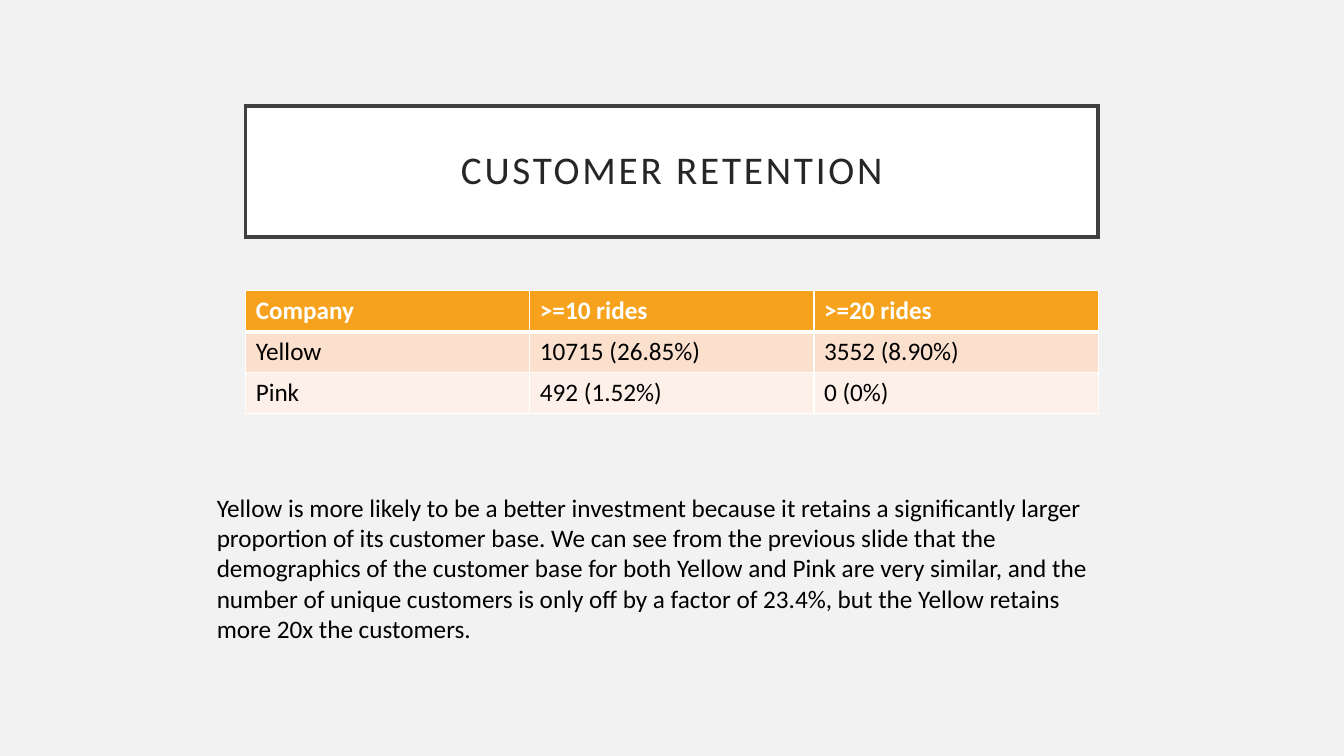
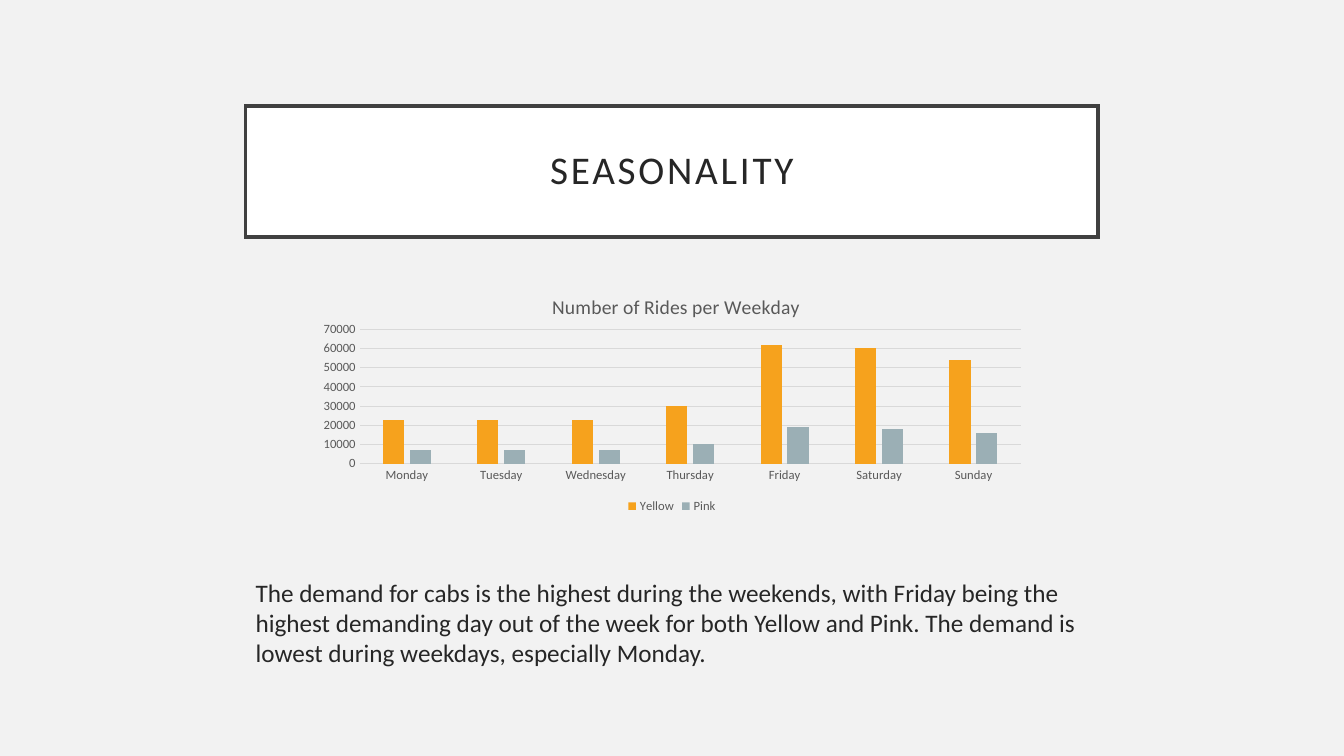
from dataclasses import dataclass
from typing import NamedTuple

from lxml import etree
from pptx import Presentation
from pptx import util as u
from pptx.chart.data import CategoryChartData
from pptx.dml.color import RGBColor
from pptx.enum import chart as ch, shapes, text
from pptx.oxml import ns

EMU_PER_PX = 9525


@dataclass(frozen=True)
class Theme:
    """Colours and type sizes shared by the slides."""
    font: str = "Calibri"
    paper: str = "F2F2F2"
    white: str = "FFFFFF"
    black: str = "000000"
    ink: str = "262626"
    frame: str = "404040"
    accent: str = "F6A21D"
    second: str = "9BAFB5"
    bands: tuple[str, ...] = ("FBE0CD", "FDF0E8")
    muted: str = "595959"
    grid: str = "D9D9D9"
    title_size: int = 28
    body_size: int = 18
    chart_title_size: int = 14
    label_size: int = 9


class Box(NamedTuple):
    """Left, top, width and height in px."""
    x: int
    y: int
    w: int
    h: int

    def emu(self) -> list[u.Emu]:
        return [px(v) for v in self]


class Series(NamedTuple):
    """One named and coloured run of chart values."""
    name: str
    color: str
    values: tuple[int, ...]


T = Theme()
TITLE_BOX = Box(234, 101, 812, 125)
TABLE_BOX = Box(234, 277, 812, 117)
RETENTION_BOX = Box(197, 464, 875, 156)
CHART_BOX = Box(294, 260, 692, 233)
SEASON_BOX = Box(234, 545, 812, 143)

RETENTION = (
    ("Company", ">=10 rides", ">=20 rides"),
    ("Yellow", "10715 (26.85%)", "3552 (8.90%)"),
    ("Pink", "492 (1.52%)", "0 (0%)"),
)
RETENTION_NOTE = (
    "Yellow is more likely to be a better investment because it retains a "
    "significantly larger proportion of its customer base. We can see from the "
    "previous slide that the demographics of the customer base for both Yellow "
    "and Pink are very similar, and the number of unique customers is only off "
    "by a factor of 23.4%, but the Yellow retains more 20x the customers."
)
DAYS = ("Monday", "Tuesday", "Wednesday", "Thursday", "Friday", "Saturday", "Sunday")
RIDES = (
    Series("Yellow", T.accent, (23000, 23000, 23000, 30000, 62000, 60000, 54000)),
    Series("Pink", T.second, (7000, 7000, 7000, 10000, 19000, 18000, 16000)),
)
SEASON_NOTE = (
    "The demand for cabs is the highest during the weekends, with Friday being "
    "the highest demanding day out of the week for both Yellow and Pink. The "
    "demand is lowest during weekdays, especially Monday."
)


def px(n: int) -> u.Emu:
    """Turn px into EMU."""
    return u.Emu(n * EMU_PER_PX)


def rgb(color: str) -> RGBColor:
    """Turn a hex string into a colour."""
    return RGBColor.from_string(color)


def style_font(font, size: int, color: str, bold: bool = False) -> None:
    """Apply the theme font with a size, colour and weight."""
    font.name, font.size, font.bold = T.font, u.Pt(size), bold
    font.color.rgb = rgb(color)


def write(tf, content: str, *, size: int = T.body_size, color: str = T.black,
          bold: bool = False, align=text.PP_ALIGN.LEFT, tracking: int = 0,
          line: float = 1.0, before: int = 0) -> None:
    """Put one formatted paragraph into a text frame."""
    tf.word_wrap = True
    p = tf.paragraphs[0]
    p.alignment, p.line_spacing, p.space_before = align, line, u.Pt(before)
    r = p.add_run()
    r.text = content
    style_font(r.font, size, color, bold)
    if tracking:
        r._r.get_or_add_rPr().set("spc", str(tracking * 100))


def add_title(s, content: str) -> None:
    """Draw the framed slide title."""
    sp = s.shapes.add_shape(shapes.MSO_SHAPE.RECTANGLE, *TITLE_BOX.emu())
    sp.shadow.inherit = False
    sp.fill.solid()
    sp.fill.fore_color.rgb = rgb(T.white)
    sp.line.color.rgb = rgb(T.frame)
    sp.line.width = u.Pt(2.5)
    etree.SubElement(sp.line._get_or_add_ln(), ns.qn("a:miter"), lim="800000")
    tf = sp.text_frame
    tf.vertical_anchor = text.MSO_ANCHOR.MIDDLE
    tf.margin_left = tf.margin_right = tf.margin_top = tf.margin_bottom = px(19)
    write(tf, content, size=T.title_size, color=T.ink,
          align=text.PP_ALIGN.CENTER, tracking=2, line=0.9)


def add_note(s, box: Box, content: str, color: str, before: int = 0) -> None:
    """Draw a paragraph of body text."""
    tf = s.shapes.add_textbox(*box.emu()).text_frame
    write(tf, content, color=color, before=before)


def style_cell(cell, fill: str, bottom: int) -> None:
    """Give a cell white borders and a plain fill."""
    tc_pr = cell._tc.get_or_add_tcPr()
    for side, width in (("L", 1), ("R", 1), ("T", 1), ("B", bottom)):
        ln = etree.SubElement(tc_pr, ns.qn(f"a:ln{side}"), w=str(u.Pt(width)))
        solid = etree.SubElement(ln, ns.qn("a:solidFill"))
        etree.SubElement(solid, ns.qn("a:srgbClr"), val=T.white)
    cell.fill.solid()
    cell.fill.fore_color.rgb = rgb(fill)


def add_grid(s, box: Box, rows: tuple[tuple[str, ...], ...]) -> None:
    """Draw a table with a header row and banded body rows."""
    table = s.shapes.add_table(len(rows), len(rows[0]), *box.emu()).table
    for i, row in enumerate(rows):
        head = i == 0
        fill = T.accent if head else T.bands[(i - 1) % len(T.bands)]
        for j, content in enumerate(row):
            cell = table.cell(i, j)
            style_cell(cell, fill, 3 if head or i == 1 and False else 1)
            if i == 1:
                cell._tc.tcPr.find(ns.qn("a:lnT")).set("w", str(u.Pt(3)))
            write(cell.text_frame, content, bold=head,
                  color=T.white if head else T.black)


def place(element, index: int, **parts: float) -> None:
    """Set a manual layout, in fractions of the chart, on a chart part."""
    for old in element.findall(ns.qn("c:layout")):
        element.remove(old)
    layout = etree.Element(ns.qn("c:layout"))
    manual = etree.SubElement(layout, ns.qn("c:manualLayout"))
    values = {"xMode": "edge", "yMode": "edge", **parts}
    if "w" in parts:
        values = {"layoutTarget": "inner", **values}
    for tag, value in values.items():
        etree.SubElement(manual, ns.qn(f"c:{tag}"), val=str(value))
    element.insert(index, layout)


def add_columns(s, box: Box, title: str, cats: tuple[str, ...],
                series: tuple[Series, ...]) -> None:
    """Draw a clustered column chart."""
    data = CategoryChartData()
    data.categories = cats
    for item in series:
        data.add_series(item.name, item.values)
    kind = ch.XL_CHART_TYPE.COLUMN_CLUSTERED
    chart = s.shapes.add_chart(kind, *box.emu(), data).chart
    style_font(chart.font, T.label_size, T.muted)

    chart.has_title = True
    write(chart.chart_title.text_frame, title, size=T.chart_title_size,
          color=T.muted, align=text.PP_ALIGN.CENTER)
    place(chart.chart_title._element, 1, x=0.33, y=0.07)
    place(chart._chartSpace.chart.plotArea, 0, x=0.07, y=0.23, w=0.91, h=0.55)

    chart.has_legend = True
    chart.legend.position = ch.XL_LEGEND_POSITION.BOTTOM
    chart.legend.include_in_layout = False
    style_font(chart.legend.font, T.label_size, T.muted)

    plot = chart.plots[0]
    plot.gap_width, plot.overlap, plot.vary_by_categories = 219, -27, False
    for item, bars in zip(series, plot.series):
        bars.format.fill.solid()
        bars.format.fill.fore_color.rgb = rgb(item.color)

    cat, val = chart.category_axis, chart.value_axis
    for axis in (cat, val):
        axis.major_tick_mark = axis.minor_tick_mark = ch.XL_TICK_MARK.NONE
        style_font(axis.tick_labels.font, T.label_size, T.muted)
    val.minimum_scale, val.maximum_scale, val.major_unit = 0, 70000, 10000
    val.format.line.fill.background()
    val.has_major_gridlines = True
    for line in (cat.format.line, val.major_gridlines.format.line):
        line.color.rgb = rgb(T.grid)
        line.width = u.Pt(0.75)


def add_slide(prs, title: str):
    """Add a blank slide with its framed title."""
    s = prs.slides.add_slide(prs.slide_layouts[6])
    add_title(s, title)
    return s


def main() -> None:
    """Build and save the slides."""
    prs = Presentation()
    prs.slide_width, prs.slide_height = px(1280), px(720)
    paper = prs.slide_master.background.fill
    paper.solid()
    paper.fore_color.rgb = rgb(T.paper)

    s = add_slide(prs, "CUSTOMER RETENTION")
    add_grid(s, TABLE_BOX, RETENTION)
    add_note(s, RETENTION_BOX, RETENTION_NOTE, T.black)

    s = add_slide(prs, "SEASONALITY")
    add_columns(s, CHART_BOX, "Number of Rides per Weekday", DAYS, RIDES)
    add_note(s, SEASON_BOX, SEASON_NOTE, T.ink, before=10)

    prs.save("out.pptx")


if __name__ == "__main__":
    main()
